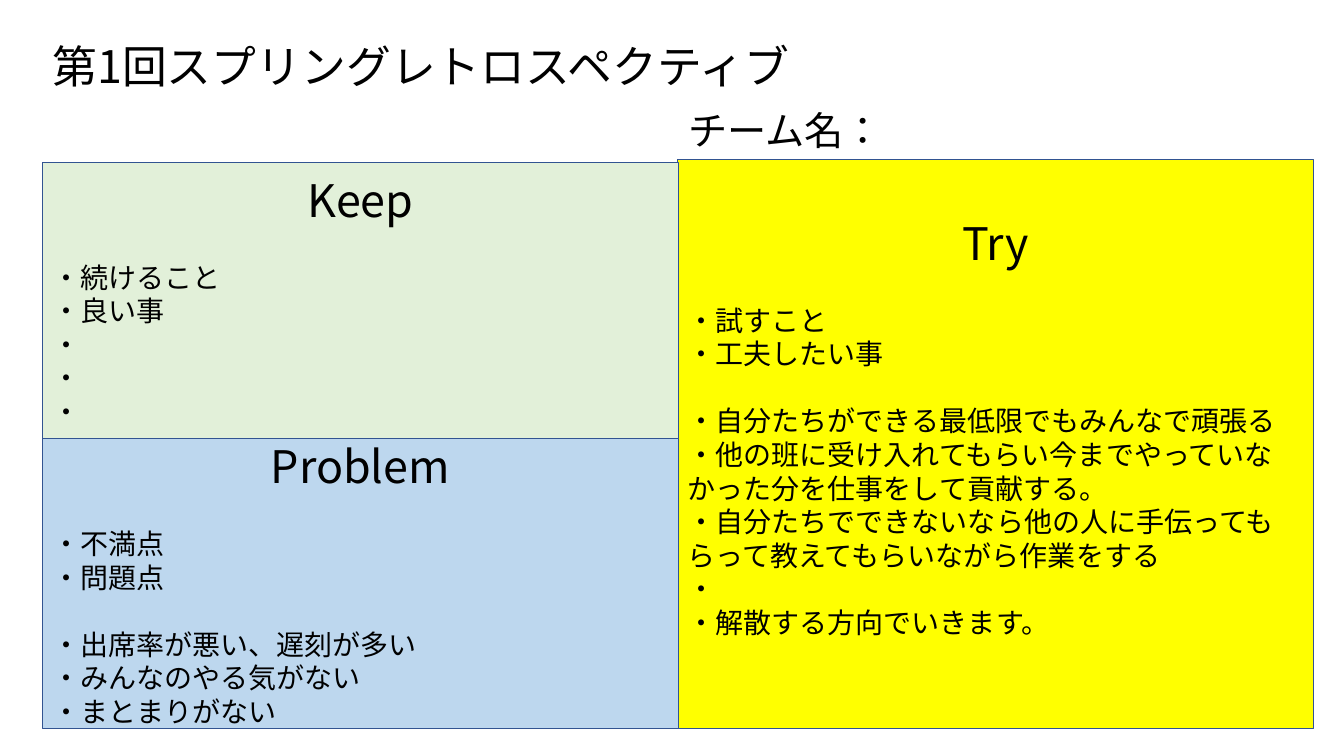
"""Build a Keep / Problem / Try retrospective slide."""
from dataclasses import dataclass

import pptx
import pptx.dml.color
import pptx.enum.lang
import pptx.enum.shapes
import pptx.enum.text
import pptx.oxml
import pptx.oxml.ns
import pptx.util

ALIGN = pptx.enum.text.PP_ALIGN
ANCHOR = pptx.enum.text.MSO_ANCHOR
LEFT, COLUMN = 0.42, 6.31
MIDDLE = LEFT + COLUMN
TOP, SPLIT, BOTTOM = 1.61, 4.35, 7.23


@dataclass(frozen=True)
class Theme:
    """Colours, font and type sizes of the slide."""
    font: str = "Noto Sans CJK JP"
    text: str = "000000"
    border: str = "325491"
    keep: str = "E2F0D9"
    problem: str = "BDD7EE"
    attempt: str = "FFFF00"
    heading: int = 32
    team: int = 28
    item: int = 20
    group_gap: int = 24


THEME = Theme()


def colour(value):
    """Turn a hex string into a colour."""
    return pptx.dml.color.RGBColor.from_string(value)


def place(shape, left, top, width, height):
    """Move and size a shape in inches."""
    shape.left, shape.top, shape.width, shape.height = (
        pptx.util.Inches(length) for length in (left, top, width, height))


def add_run(paragraph, text, size):
    """Add one run in the theme font for Latin and Japanese text."""
    run = paragraph.add_run()
    run.text = text
    run.font.size = pptx.util.Pt(size)
    run.font.name = THEME.font
    run.font.language_id = pptx.enum.lang.MSO_LANGUAGE_ID.JAPANESE
    run.font.color.rgb = colour(THEME.text)
    east_asian = pptx.oxml.parse_xml(
        f'<a:ea {pptx.oxml.ns.nsdecls("a")} typeface="{THEME.font}"/>')
    run.font._element.find(pptx.oxml.ns.qn("a:latin")).addnext(east_asian)


def add_title(slide, text):
    """Fill the title placeholder."""
    title = slide.shapes.title
    place(title, LEFT, 0.27, 12.48, 0.82)
    title.text_frame.vertical_anchor = ANCHOR.MIDDLE
    paragraph = title.text_frame.paragraphs[0]
    paragraph.alignment = ALIGN.LEFT
    paragraph.line_spacing = 0.9
    add_run(paragraph, text, THEME.heading)


def add_team_label(slide, text):
    """Add the team name label above the right column."""
    label = slide.shapes.add_textbox(0, 0, 0, 0)
    place(label, MIDDLE, 1.01, COLUMN, 0.57)
    label.text_frame.word_wrap = True
    add_run(label.text_frame.paragraphs[0], text, THEME.team)


def add_panel(slide, left, top, bottom, fill, heading, groups):
    """Add a filled panel with a heading and spaced groups of items."""
    panel = slide.shapes.add_shape(
        pptx.enum.shapes.MSO_SHAPE.RECTANGLE, 0, 0, 0, 0)
    place(panel, left, top, COLUMN, bottom - top)
    panel.shadow.inherit = False
    panel.fill.solid()
    panel.fill.fore_color.rgb = colour(fill)
    panel.line.color.rgb = colour(THEME.border)
    panel.line.width = pptx.util.Pt(1)
    frame = panel.text_frame
    frame.word_wrap = True
    frame.vertical_anchor = ANCHOR.MIDDLE
    frame.paragraphs[0].alignment = ALIGN.CENTER
    add_run(frame.paragraphs[0], heading, THEME.heading)
    for group in groups:
        for index, item in enumerate(group):
            paragraph = frame.add_paragraph()
            paragraph.alignment = ALIGN.LEFT
            if index == 0:
                paragraph.space_before = pptx.util.Pt(THEME.group_gap)
            add_run(paragraph, "・" + item, THEME.item)
    return panel


def main():
    """Assemble and save the slide."""
    presentation = pptx.Presentation()
    presentation.slide_width = pptx.util.Inches(13.33)
    presentation.slide_height = pptx.util.Inches(7.5)
    slide = presentation.slides.add_slide(presentation.slide_layouts[5])
    add_title(slide, "第1回スプリングレトロスペクティブ")
    try_panel = add_panel(
        slide, MIDDLE - 0.01, 1.58, BOTTOM, THEME.attempt, "Try", [
            ["試すこと", "工夫したい事"],
            ["自分たちができる最低限でもみんなで頑張る",
             "他の班に受け入れてもらい今までやっていなかった分を仕事をして貢献する。",
             "自分たちでできないなら他の人に手伝ってもらって教えてもらいながら作業をする",
             "",
             "解散する方向でいきます。"]])
    try_panel.text_frame.margin_bottom = pptx.util.Inches(0.38)
    add_panel(slide, LEFT, TOP, SPLIT, THEME.keep, "Keep",
              [["続けること", "良い事", "", "", ""]])
    add_panel(slide, LEFT, SPLIT, BOTTOM, THEME.problem, "Problem", [
        ["不満点", "問題点"],
        ["出席率が悪い、遅刻が多い", "みんなのやる気がない", "まとまりがない"]])
    add_team_label(slide, "チーム名：")
    presentation.save("out.pptx")


if __name__ == "__main__":
    main()
